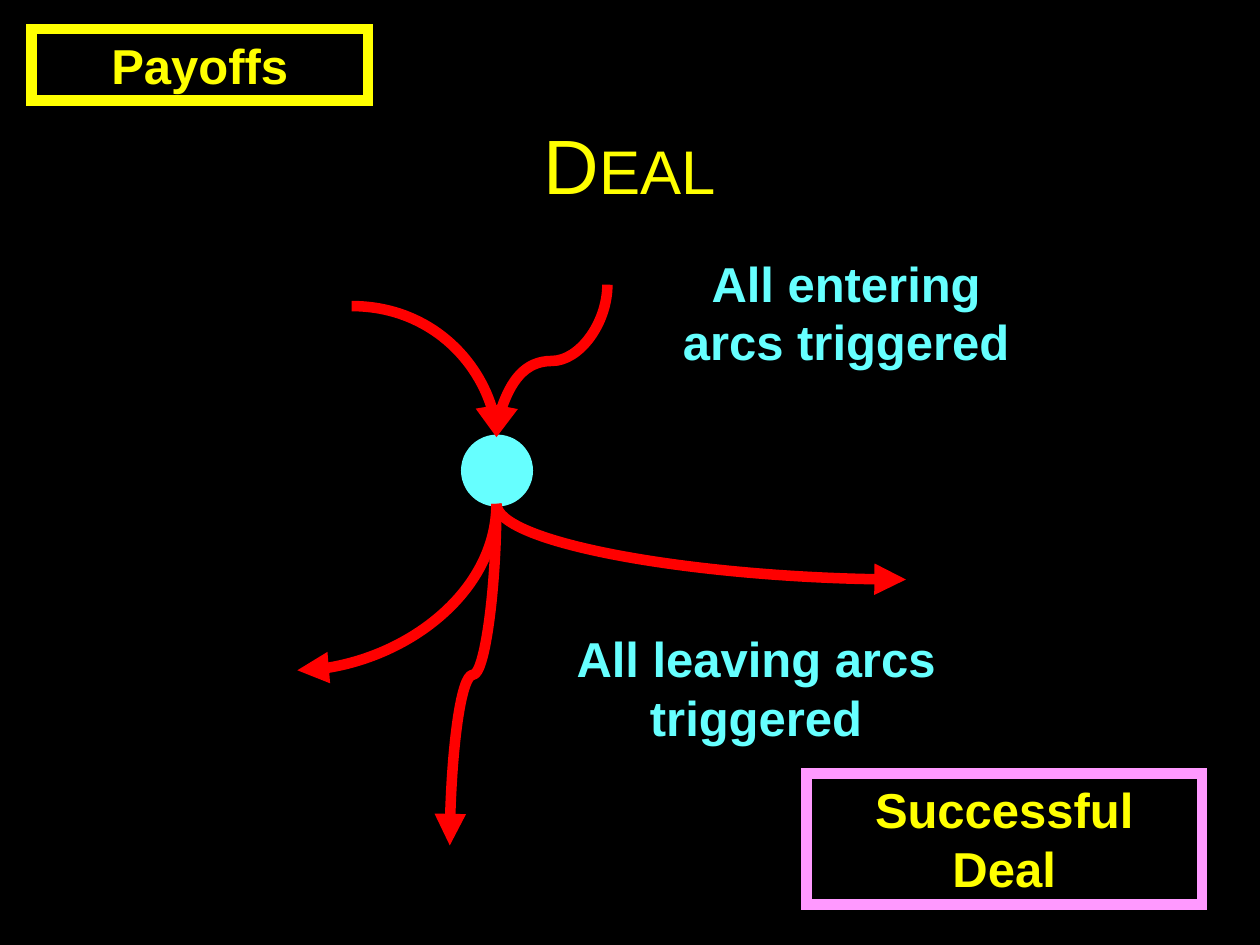
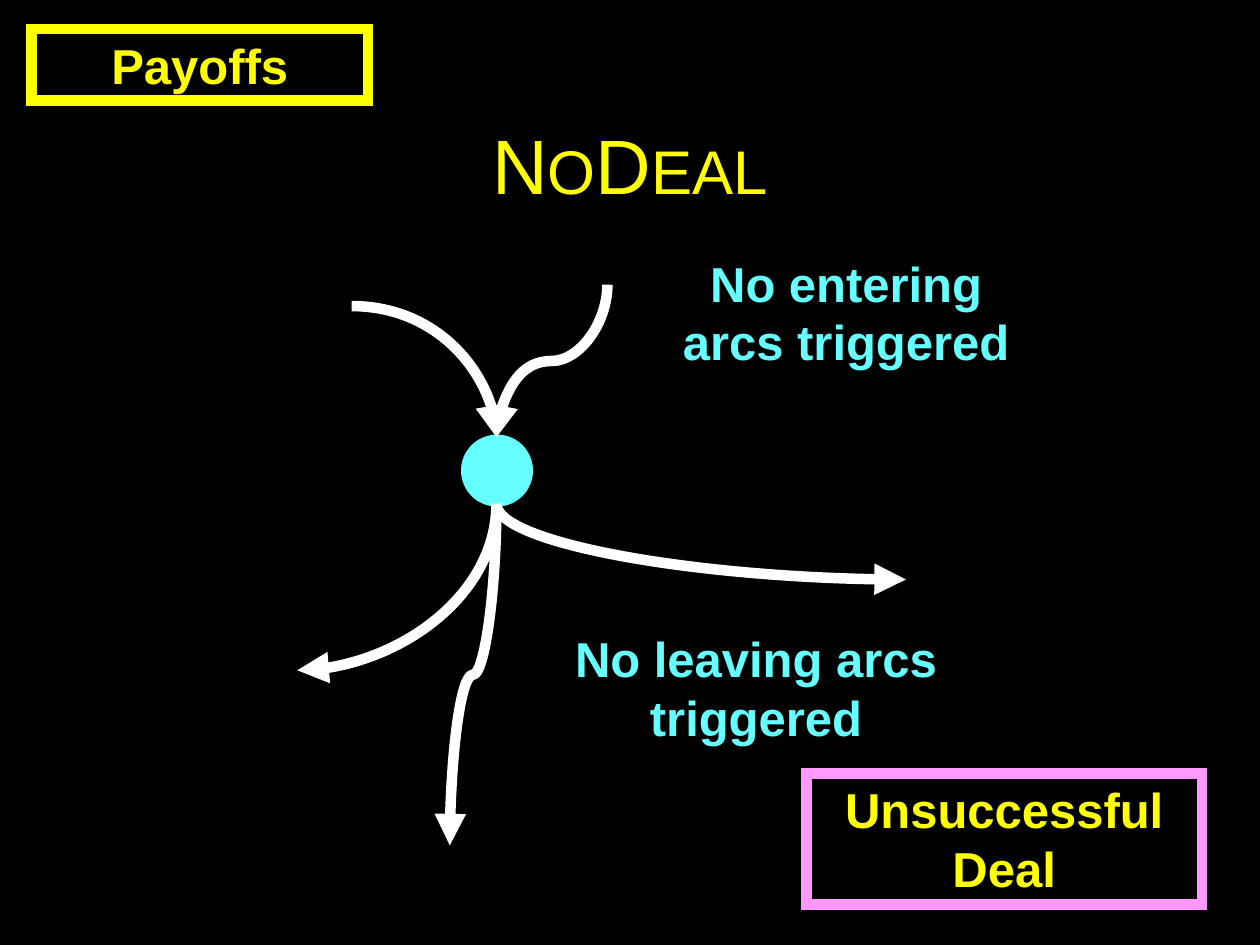
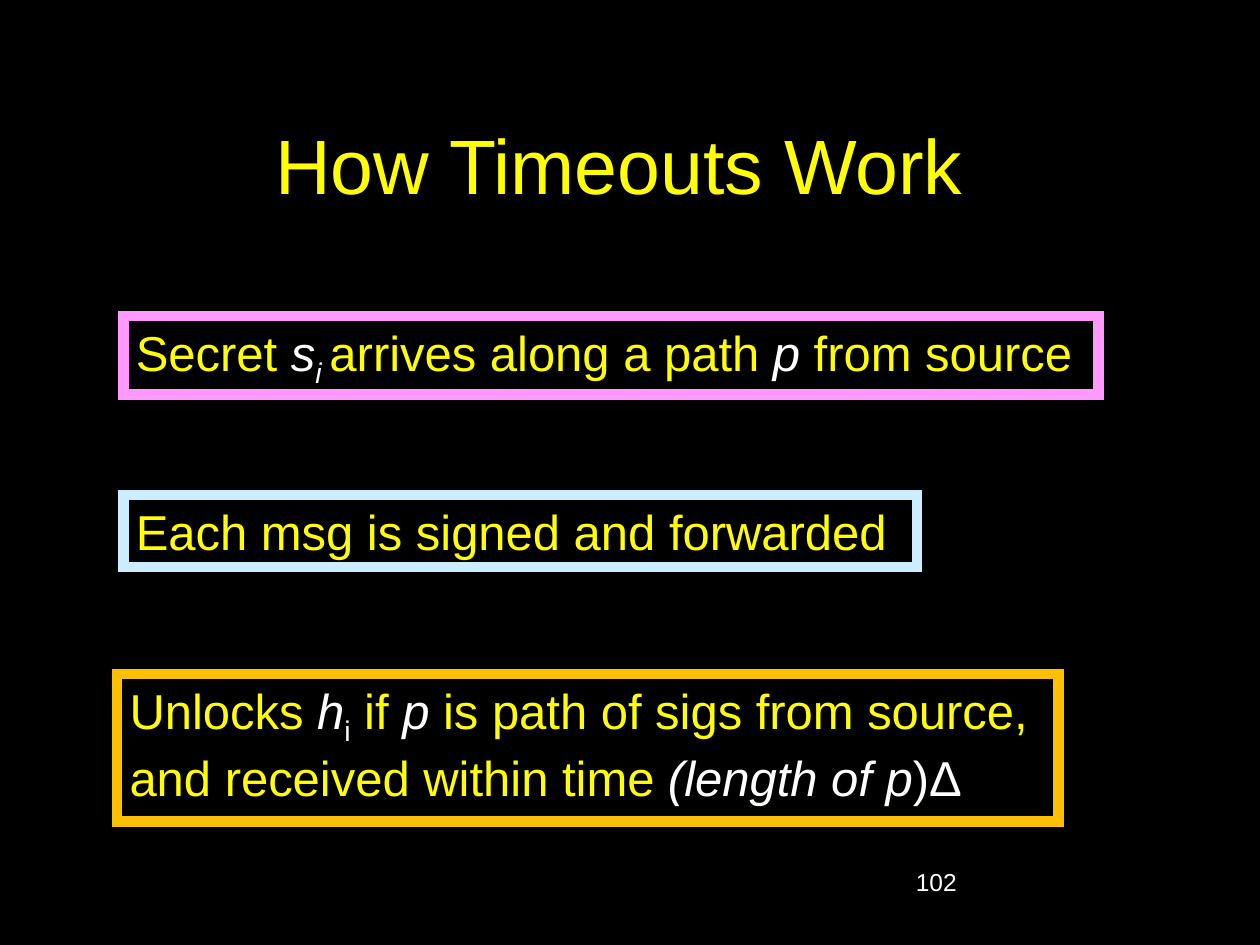
from dataclasses import dataclass

from lxml import etree
from pptx import Presentation
from pptx import util as u
from pptx.dml.color import RGBColor
from pptx.enum import shapes, text
from pptx.oxml.ns import qn

COLORS = {
    "black": "000000", "white": "FFFFFF", "yellow": "FFFF00", "cyan": "66FFFF",
    "red": "FF0000", "pink": "FF99FF", "ice": "CCECFF", "amber": "FFC000",
}
FONT = "Arial"
COLS, ROWS = 100, 75  # square grid cells, a tenth of an inch each

prs = Presentation()
prs.slide_width, prs.slide_height = u.Inches(10), u.Inches(7.5)
CELL = prs.slide_width / COLS


@dataclass
class Span:
    """A run of text; subscript runs sit a quarter below the line."""
    words: str
    color: str = "yellow"
    italic: bool = False
    sub: bool = False


@dataclass
class Box:
    at: tuple[float, float, float, float]
    spans: list[Span]
    border: str | None = None
    bold: bool = False
    align: text.PP_ALIGN = text.PP_ALIGN.LEFT


@dataclass
class Arc:
    """A curved arrow whose head is at tip; turn is its rotation in degrees."""
    tip: tuple[float, float]
    end: tuple[float, float]
    preset: str = "curvedConnector2"
    turn: int = 0


NODE_TOP, NODE_BOTTOM = (39.4, 34.7), (39.4, 40)
ARCS = [
    Arc((71.9, 46), NODE_BOTTOM),
    Arc((23.6, 53.2), NODE_BOTTOM),
    Arc(NODE_TOP, (27.9, 24.3), turn=270),
    Arc((35.7, 67.1), NODE_BOTTOM, "curvedConnector3", 90),
    Arc(NODE_TOP, (48.2, 22.6), "curvedConnector3", 90),
]


def cells(*values: float) -> list[u.Emu]:
    return [u.Emu(round(v * CELL)) for v in values]


def rgb(name: str) -> RGBColor:
    return RGBColor.from_string(COLORS[name])


def write(p, spans: list[Span], size: float, bold: bool = False) -> None:
    for span in spans:
        r = p.add_run()
        r.text = span.words
        r.font.name, r.font.size = FONT, u.Pt(size)
        r.font.bold, r.font.italic = bold, span.italic
        r.font.color.rgb = rgb(span.color)
        if span.sub:
            r.font._element.set("baseline", "-25000")


def new_slide(title: str, small_caps: bool = False):
    slide = prs.slides.add_slide(prs.slide_layouts[6])
    slide.background.fill.solid()
    slide.background.fill.fore_color.rgb = rgb("black")
    tf = slide.shapes.add_textbox(*cells(7.5, 6.7, 85, 12.5)).text_frame
    tf.word_wrap = True
    tf.vertical_anchor = text.MSO_ANCHOR.MIDDLE
    p = tf.paragraphs[0]
    p.alignment = text.PP_ALIGN.CENTER
    write(p, [Span(title)], 44)
    if small_caps:
        p.runs[0].font._element.set("cap", "small")
    return slide


def add_filled(slide, preset, at, fill: str, border: str | None, width: float):
    sp = slide.shapes.add_shape(preset, *cells(*at))
    sp.shadow.inherit = False
    sp.fill.solid()
    sp.fill.fore_color.rgb = rgb(fill)
    if border:
        sp.line.color.rgb = rgb(border)
        sp.line.width = u.Pt(width)
        etree.SubElement(sp._element.spPr.find(qn("a:ln")), qn("a:miter"), lim="800000")
    else:
        sp.line.fill.background()
    return sp


def add_box(slide, box: Box) -> None:
    sp = add_filled(slide, shapes.MSO_SHAPE.RECTANGLE, box.at, "black", box.border, 6)
    tf = sp.text_frame
    tf.word_wrap = True
    tf.auto_size = text.MSO_AUTO_SIZE.SHAPE_TO_FIT_TEXT
    tf.vertical_anchor = text.MSO_ANCHOR.TOP
    p = tf.paragraphs[0]
    p.alignment = box.align
    write(p, box.spans, 28, box.bold)


def add_arc(slide, arc: Arc, color: str) -> None:
    (x1, y1), (x2, y2) = arc.tip, arc.end
    cx, cy = (x1 + x2) / 2, (y1 + y2) / 2
    dx, dy = x1 - cx, y1 - cy
    # Undo the rotation, so that the turned curve lands on its two ends.
    dx, dy = {0: (dx, dy), 90: (dy, -dx), 270: (-dy, dx)}[arc.turn]
    line = slide.shapes.add_connector(
        shapes.MSO_CONNECTOR.CURVE, *cells(cx + dx, cy + dy, cx - dx, cy - dy))
    line.line.color.rgb = rgb(color)
    line.line.width = u.Pt(6)
    sp_pr = line._element.spPr
    sp_pr.find(qn("a:prstGeom")).set("prst", arc.preset)
    if arc.turn:
        sp_pr.find(qn("a:xfrm")).set("rot", str(arc.turn * 60000))
    etree.SubElement(sp_pr.find(qn("a:ln")), qn("a:headEnd"), type="triangle")
    etree.SubElement(sp_pr, qn("a:effectLst"))


def payoff_slide(title: str, amount: str, outcome: str, arc_color: str) -> None:
    slide = new_slide(title, small_caps=True)
    add_filled(slide, shapes.MSO_SHAPE.OVAL, (36.8, 34.7, 5.3, 5.3), "cyan", "cyan", 3)
    for arc in ARCS:
        add_arc(slide, arc, arc_color)
    for at, words, color, border in [
        ((2.5, 2.3, 26.7, 5.7), "Payoffs", "yellow", "yellow"),
        ((51.1, 19.6, 32.1, 10.4), f"{amount} entering arcs triggered", "cyan", None),
        ((42.1, 49.4, 35.8, 10.4), f"{amount} leaving arcs triggered", "cyan", None),
        ((64, 61.4, 31.4, 10.4), f"{outcome} Deal", "yellow", "pink"),
    ]:
        add_box(slide, Box(at, [Span(words, color)], border, True, text.PP_ALIGN.CENTER))


def var(words: str) -> Span:
    return Span(words, "white", italic=True)


def timeouts_slide() -> None:
    slide = new_slide("How Timeouts Work ")
    number = slide.shapes.add_textbox(*cells(71.7, 68.3, 20.8, 5))
    write(number.text_frame.paragraphs[0], [Span("102", "white")], 14)
    for box in [
        Box((9.8, 25.1, 77.4, 6.2), [
            Span("Secret "), var("s"), Span("i ", "white", italic=True, sub=True),
            Span("arrives along a path "), var("p"), Span(" from source"),
        ], "pink"),
        Box((9.3, 53.5, 74.7, 11.7), [
            Span("Unlocks "), var("h"), Span("i", "white", sub=True), Span(" if "), var("p"),
            Span(" is path of sigs from source, and received within time "),
            var("(length of p"), Span(")Δ", "white"),
        ], "amber"),
        Box((9.8, 39.3, 63, 5.7), [Span("Each msg is signed and forwarded")], "ice"),
    ]:
        add_box(slide, box)


def main() -> None:
    payoff_slide("Deal", "All", "Successful", "red")
    payoff_slide("NoDeal", "No", "Unsuccessful", "white")
    timeouts_slide()
    prs.save("out.pptx")


if __name__ == "__main__":
    main()
